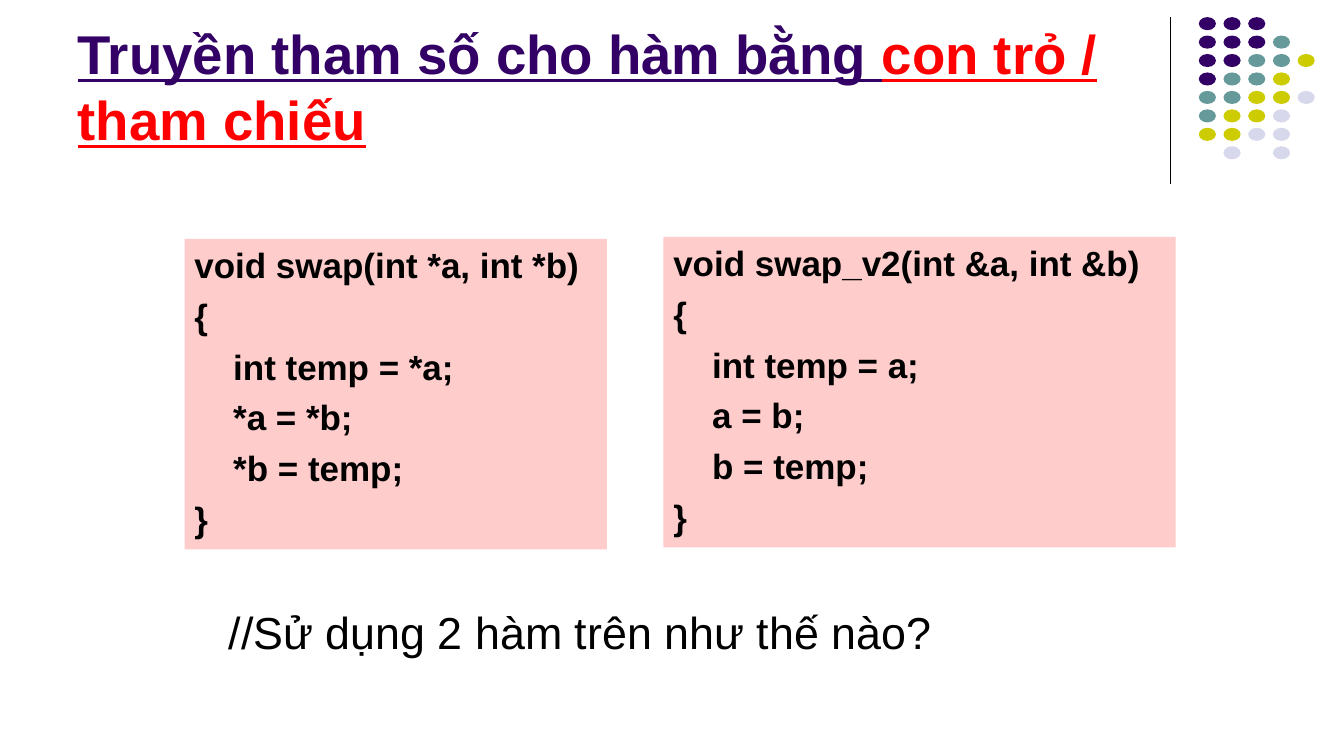
from lxml.etree import SubElement
from pptx import Presentation
from pptx.dml.color import RGBColor
from pptx.enum.shapes import MSO_CONNECTOR, MSO_SHAPE
from pptx.enum.text import MSO_ANCHOR, PP_ALIGN
from pptx.oxml.ns import qn
from pptx.util import Inches, Pt

FONT = "Arial"
BLACK = RGBColor(0x00, 0x00, 0x00)
RED = RGBColor(0xFF, 0x00, 0x00)
PINK = RGBColor(0xFF, 0xCC, 0xCC)
PURPLE = RGBColor(0x33, 0x00, 0x66)
TEAL = RGBColor(0x66, 0x99, 0x99)
OLIVE = RGBColor(0xCC, 0xCC, 0x00)
LAVENDER = RGBColor(0xD8, 0xD8, 0xEC)

DOT_COLORS = {"P": PURPLE, "T": TEAL, "O": OLIVE, "L": LAVENDER}
DOT_ROWS = ["PPP", "PPPT", "PPTTO", "PTTO", "TTOOL", "TOOL", "OOLL", ".L.L"]

SWAP_POINTER = """void swap(int *a, int *b)
{
    int temp = *a;
    *a = *b;
    *b = temp;
}"""
SWAP_REFERENCE = """void swap_v2(int &a, int &b)
{
    int temp = a;
    a = b;
    b = temp;
}"""


def add_text(paragraph, text, size, color=BLACK, bold=False, underline=False):
    run = paragraph.add_run()
    run.text = text
    font = run.font
    font.name = FONT
    font.size = Pt(size)
    font.bold = bold
    font.underline = underline
    font.color.rgb = color


def add_filled_shape(slide, kind, left, top, width, height, color):
    shape = slide.shapes.add_shape(
        kind, Inches(left), Inches(top), Inches(width), Inches(height))
    shape.shadow.inherit = False
    shape.fill.solid()
    shape.fill.fore_color.rgb = color
    shape.line.fill.background()
    return shape


def add_divider(slide):
    divider = slide.shapes.add_connector(
        MSO_CONNECTOR.STRAIGHT,
        Inches(11.61), Inches(0.17), Inches(11.61), Inches(1.83))
    divider.line.color.rgb = BLACK
    divider.line.width = Pt(0.75)
    SubElement(divider._element.spPr, qn("a:effectLst"))


def add_dots(slide):
    for row, letters in enumerate(DOT_ROWS):
        for column, letter in enumerate(letters):
            if letter in DOT_COLORS:
                add_filled_shape(
                    slide, MSO_SHAPE.OVAL,
                    11.89 + column * 0.245, 0.17 + row * 0.183,
                    0.17, 0.13, DOT_COLORS[letter])


def format_title(title):
    title.left, title.top = Inches(0.67), Inches(0.13)
    title.width, title.height = Inches(11), Inches(1.42)
    frame = title.text_frame
    frame.word_wrap = True
    frame.vertical_anchor = MSO_ANCHOR.BOTTOM
    paragraph = frame.paragraphs[0]
    paragraph.alignment = PP_ALIGN.LEFT
    style = {"size": 39, "bold": True, "underline": True}
    add_text(paragraph, "Truyền tham số cho hàm bằng ", color=PURPLE, **style)
    add_text(paragraph, "con trỏ / tham chiếu", color=RED, **style)


def add_code_box(slide, code, left, top, width):
    box = add_filled_shape(
        slide, MSO_SHAPE.RECTANGLE, left, top, width, 3.08, PINK)
    frame = box.text_frame
    frame.word_wrap = True
    frame.vertical_anchor = MSO_ANCHOR.TOP
    for index, line in enumerate(code.splitlines()):
        paragraph = frame.add_paragraph() if index else frame.paragraphs[0]
        paragraph.alignment = PP_ALIGN.LEFT
        # Hanging indent for wrapped code lines
        properties = paragraph._p.get_or_add_pPr()
        properties.set("marL", str(Inches(0.38)))
        properties.set("indent", str(Inches(-0.38)))
        if index:
            paragraph.space_before = Pt(6.2)
        add_text(paragraph, line, size=25, bold=True)


def add_question(slide):
    box = slide.shapes.add_textbox(
        Inches(2.17), Inches(5.95), Inches(8.58), Inches(0.64))
    box.text_frame.word_wrap = True
    add_text(box.text_frame.paragraphs[0],
             "//Sử dụng 2 hàm trên như thế nào?", size=32)


def main():
    presentation = Presentation()
    presentation.slide_width = Inches(13.33)
    presentation.slide_height = Inches(7.5)
    slide = presentation.slides.add_slide(presentation.slide_layouts[5])

    # Corner decoration
    add_divider(slide)
    add_dots(slide)

    # Title, the two functions and the question
    format_title(slide.shapes.title)
    add_code_box(slide, SWAP_POINTER, 1.83, 2.37, 4.19)
    add_code_box(slide, SWAP_REFERENCE, 6.58, 2.35, 5.08)
    add_question(slide)

    presentation.save("out.pptx")


if __name__ == "__main__":
    main()
